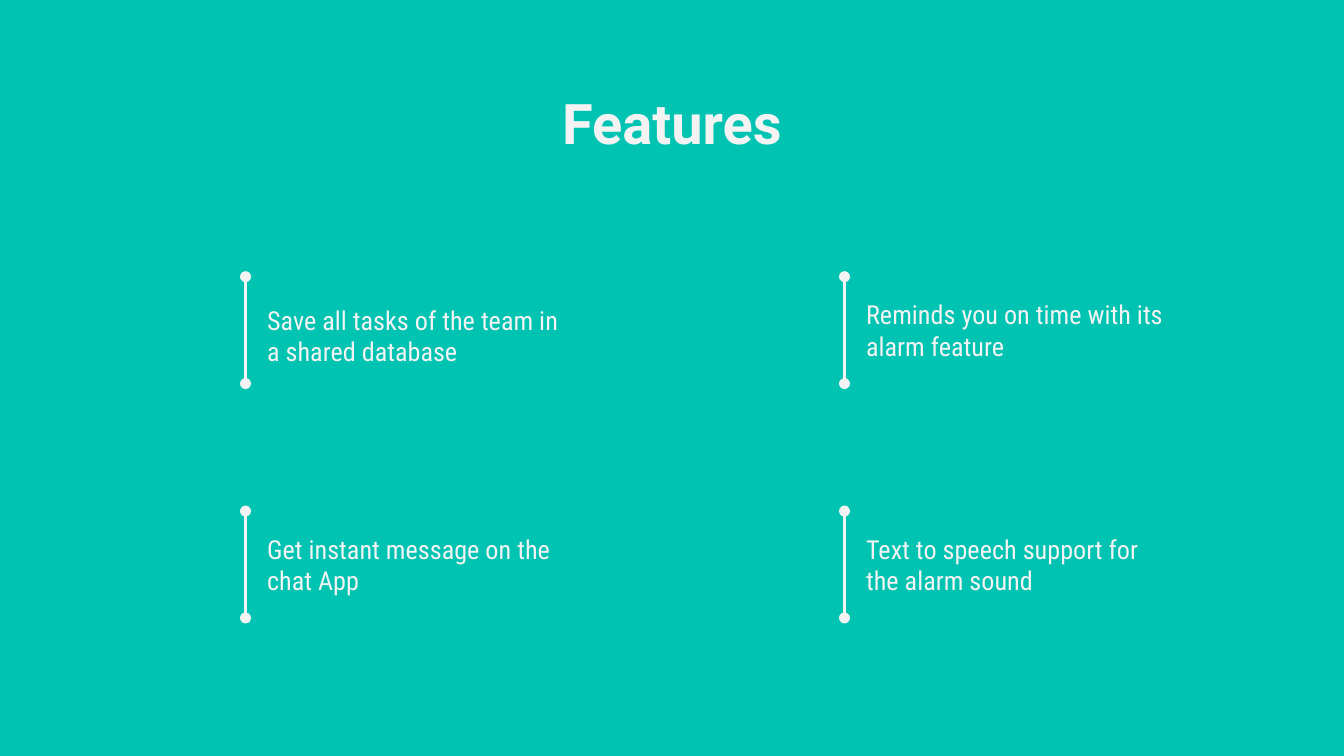
import pptx
import pptx.util
import pptx.dml.color
import pptx.enum.shapes
import pptx.enum.text
import pptx.oxml
import pptx.oxml.ns

Cm = pptx.util.Cm
Pt = pptx.util.Pt
COLORS = {"background": "00C3B1", "light": "F3F3F3"}


def rgb(name):
    """Return the named colour."""
    return pptx.dml.color.RGBColor.from_string(COLORS[name])


def write(tf, text, font, size, bold, align, anchor):
    """Write one run of light text into a frame."""
    tf.word_wrap = True
    tf.auto_size = pptx.enum.text.MSO_AUTO_SIZE.NONE
    tf.vertical_anchor = anchor
    tf.margin_left = tf.margin_right = tf.margin_top = tf.margin_bottom = Cm(0.25)
    p = tf.paragraphs[0]
    p.alignment = align
    p.space_before = Pt(0)
    r = p.add_run()
    r.text = text
    r.font.name = font
    r.font.size = Pt(size)
    r.font.bold = bold
    r.font.color.rgb = rgb("light")


def add_title(s, text, left, top, width, height):
    """Place and format the slide title."""
    sp = s.shapes.title
    sp.left, sp.top, sp.width, sp.height = Cm(left), Cm(top), Cm(width), Cm(height)
    write(sp.text_frame, text, "Roboto", 30, True,
          pptx.enum.text.PP_ALIGN.CENTER, pptx.enum.text.MSO_ANCHOR.TOP)


def add_rule(s, x, top, height):
    """Draw a vertical line with a dot at each end."""
    line = s.shapes.add_connector(pptx.enum.shapes.MSO_CONNECTOR.STRAIGHT,
                                  Cm(x), Cm(top), Cm(x), Cm(top + height))
    line.line.color.rgb = rgb("light")
    line.line.width = Pt(1.5)
    ln = line.line._get_or_add_ln()
    for tag in ("a:headEnd", "a:tailEnd"):
        end = pptx.oxml.ns.qn(tag)
        ln.append(ln.makeelement(end, {"type": "oval", "w": "med", "len": "med"}))
    sp_pr = line._element.spPr
    sp_pr.append(sp_pr.makeelement(pptx.oxml.ns.qn("a:effectLst"), {}))


def add_feature(s, text, left, top, width, height, drop):
    """Place a feature text beside its dotted rule."""
    add_rule(s, left, top, height)
    sp = s.shapes.add_textbox(Cm(left + 0.16), Cm(top + drop), Cm(width), Cm(1.96))
    write(sp.text_frame, text, "Roboto Condensed", 14, False,
          pptx.enum.text.PP_ALIGN.LEFT, pptx.enum.text.MSO_ANCHOR.MIDDLE)


def add_features(s, features, left, top, col_step, row_step):
    """Lay the features out in a grid of two columns."""
    for i, (text, drop) in enumerate(features):
        row, col = divmod(i, 2)
        add_feature(s, text, left + col * col_step, top + row * row_step,
                    6.15, 2.02, drop)


def main():
    """Build the features slide."""
    prs = pptx.Presentation()
    prs.slide_width, prs.slide_height = Cm(25.4), Cm(14.29)
    s = prs.slides.add_slide(prs.slide_layouts[5])
    s.background.fill.solid()
    s.background.fill.fore_color.rgb = rgb("background")
    add_title(s, "Features", 2, 1.42, 21.4, 1.6)
    features = [
        ("Save all tasks of the team in a shared database", 0.13),
        ("Reminds you on time with its alarm feature", 0.03),
        ("Get instant message on the chat App", 0.03),
        ("Text to speech support for the alarm sound", 0.03),
    ]
    add_features(s, features, 4.64, 5.23, 11.32, 4.43)
    prs.save("out.pptx")


if __name__ == "__main__":
    main()
